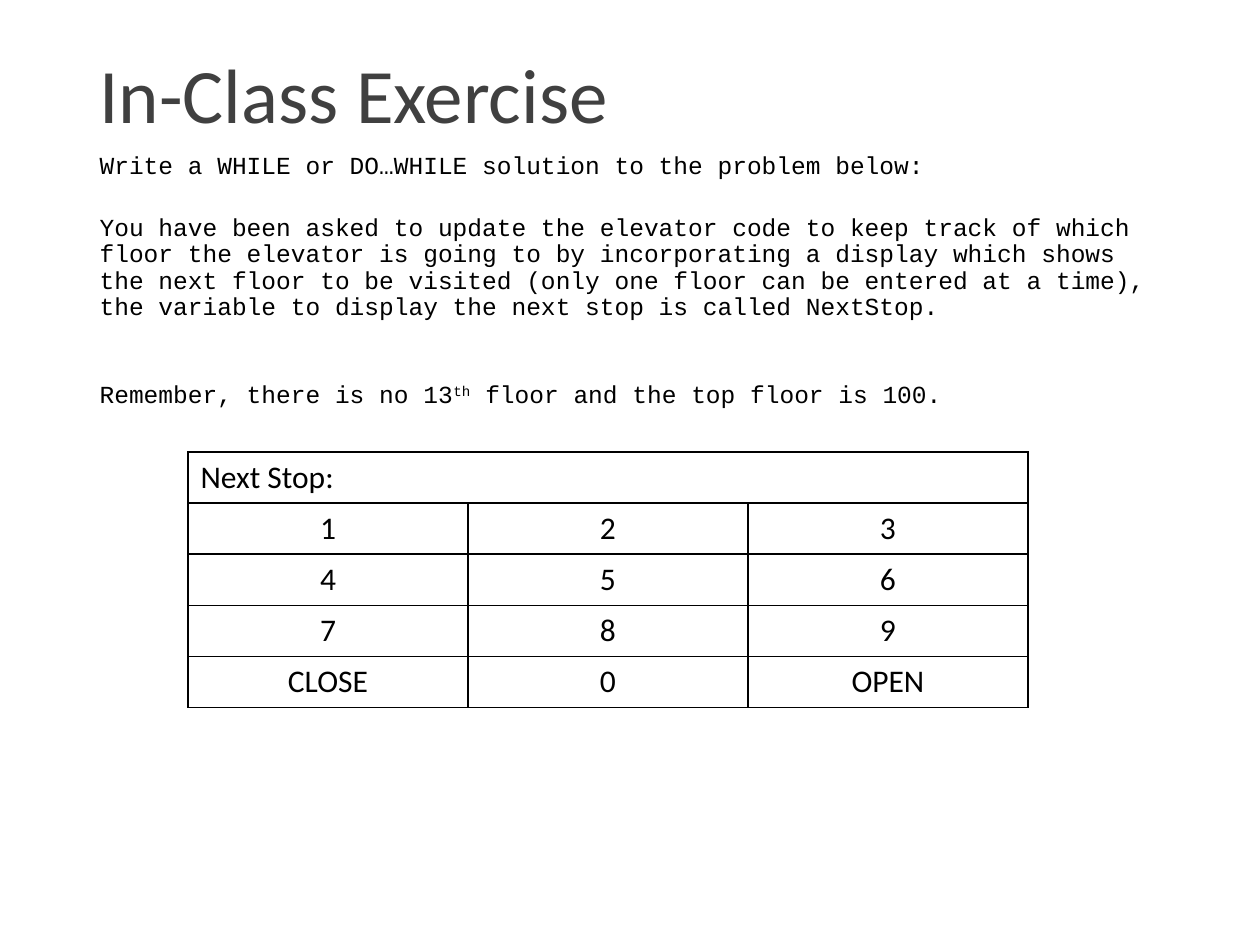
import pptx
import pptx.dml.color
import pptx.enum.text
import pptx.oxml
import pptx.oxml.ns
import pptx.util

PX = pptx.util.Inches(1) / 126
BLACK = pptx.dml.color.RGBColor(0x00, 0x00, 0x00)
CHARCOAL = pptx.dml.color.RGBColor(0x40, 0x40, 0x40)

ALIGN = pptx.enum.text.PP_ALIGN
ANCHOR = pptx.enum.text.MSO_ANCHOR
TITLE_FONT = {"name": "Calibri", "size": pptx.util.Pt(44), "bold": False}
BODY_FONT = {"name": "Courier New", "size": pptx.util.Pt(14), "bold": False}
KEY_FONT = {"name": "Calibri", "size": pptx.util.Pt(18), "bold": False}

TASK = "Write a WHILE or DO…WHILE solution to the problem below:"
PROBLEM = (
    "You have been asked to update the elevator code to keep track of which "
    "floor the elevator is going to by incorporating a display which shows "
    "the next floor to be visited (only one floor can be entered at a time), "
    "the variable to display the next stop is called NextStop."
)
REMINDER = [
    ("Remember, there is no 13", False),
    ("th", True),
    (" floor and the top floor is 100.", False),
]
KEYS = [
    ["1", "2", "3"],
    ["4", "5", "6"],
    ["7", "8", "9"],
    ["CLOSE", "0", "OPEN"],
]


def emu(px):
    return pptx.util.Emu(round(px * PX))


def set_values(target, values):
    for name, value in values.items():
        setattr(target, name, value)


def place(shape, box, anchor):
    for name, px in zip(("left", "top", "width", "height"), box):
        setattr(shape, name, emu(px))
    set_values(shape.text_frame, {
        "word_wrap": True,
        "auto_size": pptx.enum.text.MSO_AUTO_SIZE.NONE,
        "vertical_anchor": anchor,
    })


def add_span(para, text, font, color, raised=False):
    span = para.add_run()
    span.text = text
    set_values(span.font, font)
    span.font.color.rgb = color
    if raised:
        span._r.get_or_add_rPr().set("baseline", "30000")


def format_para(para, before):
    set_values(para, {
        "alignment": ALIGN.LEFT,
        "line_spacing": 0.9,
        "space_before": pptx.util.Pt(before),
        "space_after": pptx.util.Pt(0),
    })


def remove_bullet(para):
    properties = para._p.get_or_add_pPr()
    properties.set("marL", "0")
    properties.set("indent", "0")
    pptx.oxml.ns.qn("a:buNone")
    properties.append(pptx.oxml.parse_xml(
        f"<a:buNone {pptx.oxml.ns.nsdecls('a')}/>"))


def fill_title(shape, box):
    place(shape, box, ANCHOR.MIDDLE)
    para = shape.text_frame.paragraphs[0]
    format_para(para, 0)
    add_span(para, "In-Class Exercise", TITLE_FONT, CHARCOAL)


def fill_body(shape, box, paragraphs):
    place(shape, box, ANCHOR.TOP)
    frame = shape.text_frame
    for index, (before, spans) in enumerate(paragraphs):
        para = frame.add_paragraph() if index else frame.paragraphs[0]
        format_para(para, before)
        remove_bullet(para)
        for text, raised in spans:
            add_span(para, text, BODY_FONT, BLACK, raised)


def draw_borders(cell):
    properties = cell._tc.get_or_add_tcPr()
    for index, side in enumerate(("lnL", "lnR", "lnT", "lnB")):
        properties.insert(index, pptx.oxml.parse_xml(
            f'<a:{side} {pptx.oxml.ns.nsdecls("a")} w="{pptx.util.Pt(1)}">'
            f'<a:solidFill><a:srgbClr val="{BLACK}"/></a:solidFill>'
            f"</a:{side}>"))


def fill_cell(cell, text, alignment):
    cell.fill.background()
    draw_borders(cell)
    para = cell.text_frame.paragraphs[0]
    para.alignment = alignment
    if text:
        add_span(para, text, KEY_FONT, BLACK)


def add_keypad(page, box):
    rows = [["Next Stop:", "", ""]] + KEYS
    table = page.shapes.add_table(len(rows), 3, *map(emu, box)).table
    set_values(table, {"first_row": False, "horz_banding": False})
    table.cell(0, 0).merge(table.cell(0, 2))
    for row, texts in enumerate(rows):
        for column, text in enumerate(texts):
            fill_cell(table.cell(row, column), text,
                      ALIGN.CENTER if row else ALIGN.LEFT)


def build_exercise(page):
    title, task, problem = page.placeholders
    fill_title(title, (87, 50, 1138, 97))
    fill_body(task, (87, 147, 1086, 62), [(10, [(TASK, False)])])
    fill_body(problem, (87, 209, 1086, 625),
              [(10, [(PROBLEM, False)]), (35, REMINDER)])
    add_keypad(page, (188, 452, 840, 255))


def main():
    deck = pptx.Presentation()
    set_values(deck, {"slide_width": emu(1260), "slide_height": emu(945)})
    page = deck.slides.add_slide(deck.slide_layouts.get_by_name("Two Content"))
    build_exercise(page)
    deck.save("out.pptx")


if __name__ == "__main__":
    main()
